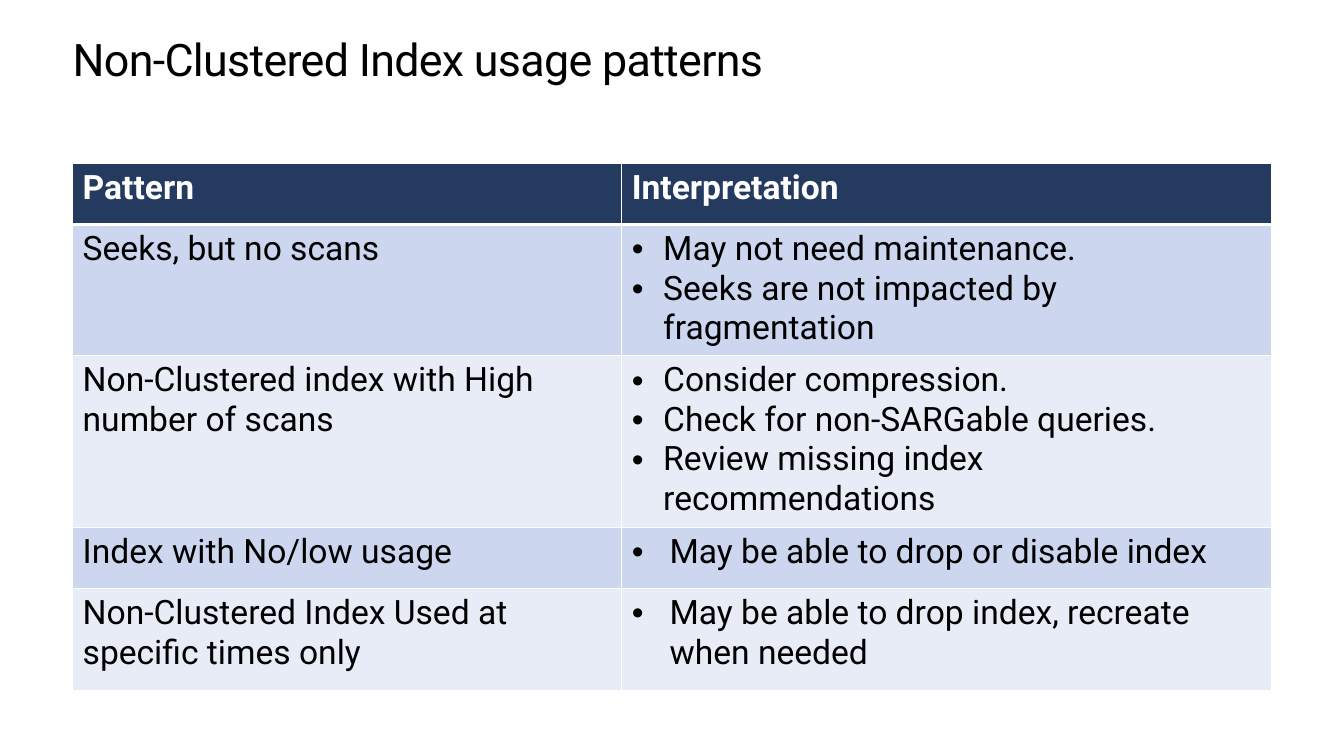
from dataclasses import dataclass

from lxml.etree import SubElement
from pptx import Presentation
from pptx.dml.color import RGBColor
from pptx.enum.text import MSO_ANCHOR, MSO_AUTO_SIZE, PP_ALIGN
from pptx.oxml import parse_xml
from pptx.oxml.ns import nsdecls, qn
from pptx.util import Cm, Pt


@dataclass(frozen=True)
class Theme:
    font: str = "Roboto"
    title_size: Pt = Pt(32)
    table_size: Pt = Pt(24)
    black: RGBColor = RGBColor(0x00, 0x00, 0x00)
    white: RGBColor = RGBColor(0xFF, 0xFF, 0xFF)
    header: RGBColor = RGBColor(0x24, 0x3A, 0x5E)
    bands: tuple = (RGBColor(0xCC, 0xD6, 0xEF), RGBColor(0xE7, 0xEC, 0xF7))


theme = Theme()


def add_bullet(para, indent):
    properties = para._p.get_or_add_pPr()
    properties.set("marL", str(indent))
    properties.set("indent", str(-indent))
    SubElement(properties, qn("a:buFont")).set("typeface", "Arial")
    SubElement(properties, qn("a:buChar")).set("char", "•")


def set_borders(cell, widths):
    properties = cell._tc.get_or_add_tcPr()
    for position, (side, width) in enumerate(widths.items()):
        properties.insert(position, parse_xml(
            f'<a:{side} {nsdecls("a")} w="{width}"><a:solidFill>'
            f'<a:srgbClr val="{theme.white}"/></a:solidFill></a:{side}>'))


# Deck and slide
deck = Presentation()
deck.slide_width, deck.slide_height = Cm(33.87), Cm(19.05)
page = deck.slides.add_slide(deck.slide_layouts[5])
left, width = Cm(1.83), Cm(30.22)

# Title
title = page.shapes.title
title.left, title.top, title.width, title.height = left, Cm(0.88), width, Cm(1.27)
title.fill.solid()
title.fill.fore_color.rgb = theme.white
frame = title.text_frame
frame.text = "Non-Clustered Index usage patterns"
frame.margin_left = frame.margin_top = frame.margin_right = frame.margin_bottom = 0
frame.word_wrap = True
frame.auto_size = MSO_AUTO_SIZE.SHAPE_TO_FIT_TEXT
frame.vertical_anchor = MSO_ANCHOR.TOP
para = frame.paragraphs[0]
para.alignment = PP_ALIGN.LEFT
para.line_spacing = Pt(36.2)
span = para.runs[0]
span.font.name, span.font.size = theme.font, theme.title_size
span.font.color.rgb = theme.black
span.font._element.set("spc", "-50")

# Table content: row height, bullet indent, pattern, interpretation
rows = [
    (Cm(1.55), None, "Pattern", ["Interpretation"]),
    (Cm(3.25), Cm(0.79), "Seeks, but no scans",
     ["May not need maintenance.", "Seeks are not impacted by fragmentation"]),
    (Cm(4.24), Cm(0.79), "Non-Clustered index with High number of scans",
     ["Consider compression.", "Check for non-SARGable queries.",
      "Review missing index recommendations"]),
    (Cm(1.55), Cm(0.95), "Index with No/low usage",
     ["May be able to drop or disable index"]),
    (Cm(2.57), Cm(0.95), "Non-Clustered Index Used at specific times only",
     ["May be able to drop index, recreate when needed"]),
]

# Table
total_height = sum(row[0] for row in rows)
table = page.shapes.add_table(len(rows), 2, left, Cm(4.11), width, total_height).table
table.columns[0].width, table.columns[1].width = Cm(13.84), Cm(16.38)

for row_number, (height, indent, pattern, interpretation) in enumerate(rows):
    table.rows[row_number].height = height
    is_header = row_number == 0
    for column, lines in enumerate(([pattern], interpretation)):
        cell = table.cell(row_number, column)
        cell.fill.solid()
        cell.fill.fore_color.rgb = (
            theme.header if is_header else theme.bands[(row_number - 1) % 2])
        set_borders(cell, {
            "lnL": Pt(1), "lnR": Pt(1),
            "lnT": Pt(3) if row_number == 1 else Pt(1),
            "lnB": Pt(3) if is_header else Pt(1)})
        cell.text_frame.text = "\n".join(lines)
        for para in cell.text_frame.paragraphs:
            if column == 1 and indent:
                add_bullet(para, indent)
            font = para.runs[0].font
            font.name, font.size, font.bold = theme.font, theme.table_size, is_header
            font.color.rgb = theme.white if is_header else theme.black

deck.save("out.pptx")
